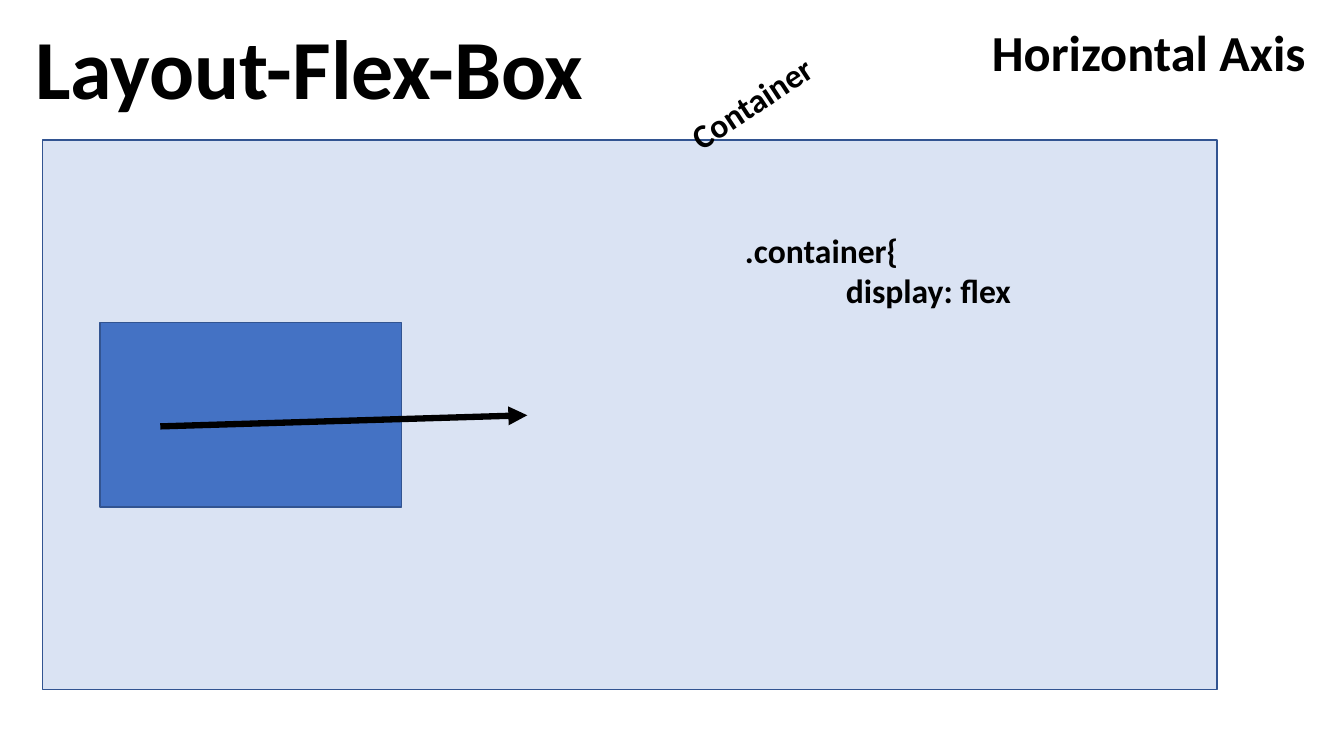
from lxml import etree
from pptx import Presentation
from pptx.dml.color import RGBColor
from pptx.enum.shapes import MSO_CONNECTOR, MSO_SHAPE
from pptx.enum.text import MSO_ANCHOR, MSO_AUTO_SIZE, PP_ALIGN
from pptx.oxml.ns import qn
from pptx.util import Inches, Pt

RECTANGLE = MSO_SHAPE.RECTANGLE
STRAIGHT = MSO_CONNECTOR.STRAIGHT
TOP = MSO_ANCHOR.TOP
NO_AUTOFIT = MSO_AUTO_SIZE.NONE
LEFT = PP_ALIGN.LEFT

BLACK = RGBColor(0x00, 0x00, 0x00)
PALE_BLUE = RGBColor(0xDA, 0xE3, 0xF3)
BLUE = RGBColor(0x44, 0x72, 0xC4)
DARK_BLUE = RGBColor(0x32, 0x54, 0x91)

TITLE_ONLY = 5


def write_text(frame, lines, font="Calibri", size=24, color=BLACK, bold=True):
    """Fill a frame with (text, left indent in inches) lines."""
    frame.word_wrap = True
    frame.auto_size = NO_AUTOFIT
    frame.vertical_anchor = TOP
    for index, (text, indent) in enumerate(lines):
        para = frame.add_paragraph() if index else frame.paragraphs[0]
        para.alignment = LEFT
        if indent:
            properties = para._p.get_or_add_pPr()
            properties.set("marL", str(Inches(indent)))
            properties.set("indent", "0")
        span = para.add_run()
        span.text = text
        span.font.name = font
        span.font.size = Pt(size)
        span.font.bold = bold
        span.font.color.rgb = color


class SlideBuilder:
    """Holds the current slide and the shared outline style."""

    def __init__(self, slide, outline=DARK_BLUE, outline_width=1):
        self.slide = slide
        self.outline = outline
        self.outline_width = outline_width

    def title(self, text, left, top, width, height, **style):
        box = self.slide.shapes.title
        box.left, box.top = Inches(left), Inches(top)
        box.width, box.height = Inches(width), Inches(height)
        write_text(box.text_frame, [(text, 0)], **style)

    def label(self, lines, left, top, width, height, rotation=0, **style):
        box = self.slide.shapes.add_textbox(
            Inches(left), Inches(top), Inches(width), Inches(height))
        box.rotation = rotation
        write_text(box.text_frame, lines, **style)

    def rectangle(self, left, top, width, height, fill):
        box = self.slide.shapes.add_shape(
            RECTANGLE, Inches(left), Inches(top), Inches(width), Inches(height))
        box.shadow.inherit = False
        box.fill.solid()
        box.fill.fore_color.rgb = fill
        box.line.color.rgb = self.outline
        box.line.width = Pt(self.outline_width)

    def arrow(self, start, end, color=BLACK, width=4.5):
        points = [Inches(value) for value in (*start, *end)]
        connector = self.slide.shapes.add_connector(STRAIGHT, *points)
        connector.line.color.rgb = color
        connector.line.width = Pt(width)
        properties = connector._element.spPr
        line = properties.find(qn("a:ln"))
        etree.SubElement(line, qn("a:tailEnd"), type="triangle")
        etree.SubElement(properties, qn("a:effectLst"))


deck = Presentation()
deck.slide_width = Inches(13.33)
deck.slide_height = Inches(7.5)
page = SlideBuilder(deck.slides.add_slide(deck.slide_layouts[TITLE_ONLY]))

# Headings
page.title("Layout-Flex-Box", 0.25, 0.1, 7.49, 1.11, size=60)
page.label([("Horizontal Axis", 0)], 9.74, 0.16, 3.5, 0.71, size=36)

# Container with one item and its main axis
page.rectangle(0.42, 1.39, 11.65, 5.45, PALE_BLUE)
page.rectangle(0.99, 3.2, 2.99, 1.83, BLUE)
page.arrow((1.59, 4.23), (5.23, 4.12))

# Container name and its style rule
page.label([("Container", 0)], 6.61, 0.55, 2.34, 0.5, rotation=326.6)
page.label([(".container{", 0), ("display: flex", 1)], 7.29, 2.23, 2.99, 0.91)

deck.save("out.pptx")
